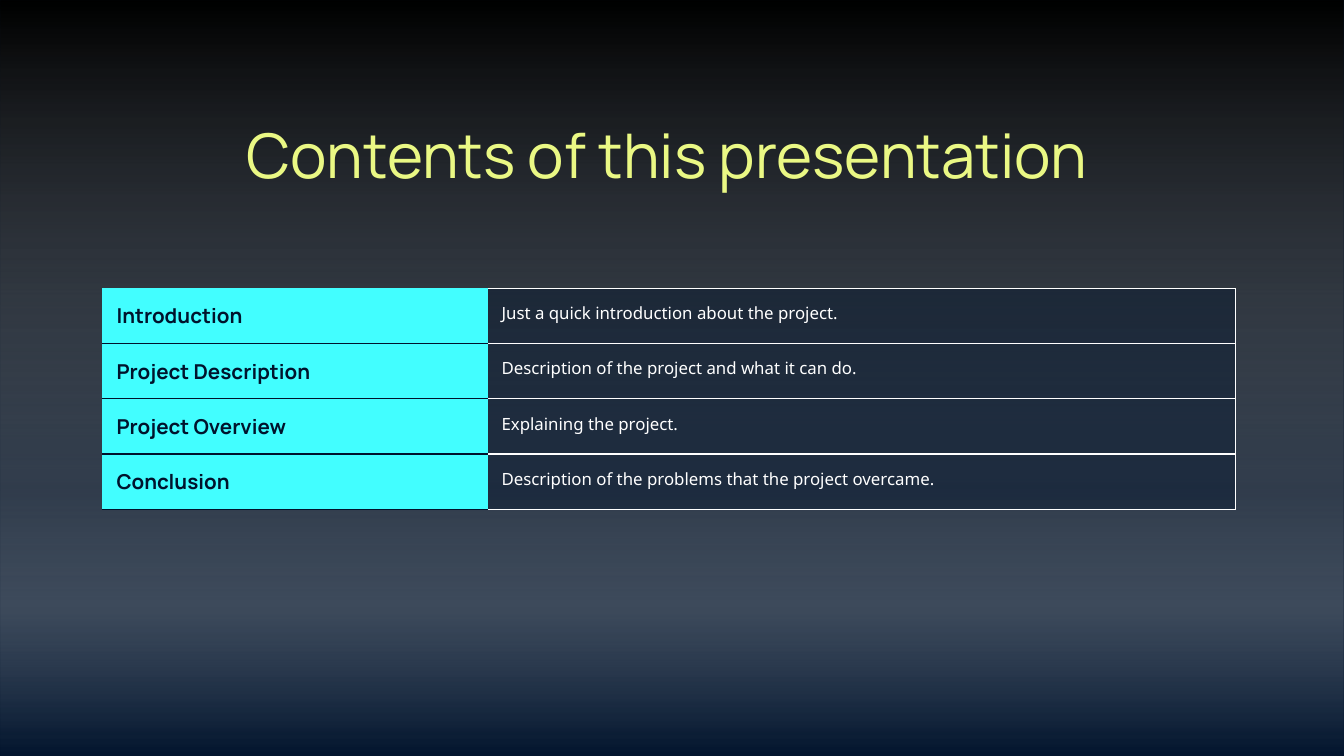
from lxml import etree
from pptx import Presentation
from pptx.dml.color import RGBColor
from pptx.enum.shapes import MSO_SHAPE
from pptx.enum.text import MSO_ANCHOR, MSO_AUTO_SIZE, PP_ALIGN
from pptx.oxml.ns import qn
from pptx.util import Inches, Pt

RECTANGLE = MSO_SHAPE.RECTANGLE
TOP = MSO_ANCHOR.TOP
NO_AUTOFIT = MSO_AUTO_SIZE.NONE
CENTER, LEFT = PP_ALIGN.CENTER, PP_ALIGN.LEFT

COLORS = {"navy": "00132C", "cyan": "42FEFF", "lime": "EAF884", "white": "FFFFFF",
          "black": "000000", "gray": "808080", "silver": "C0C0C0"}
HEADING_FONT, BODY_FONT = "Manrope", "Noto Sans"
NO_TABLE_STYLE = "{2D5ABB26-0587-4C30-8999-92F81FD0307C}"
INSET = Inches(0.1)

# Position, colour and opacity in percent, from top to bottom
SHADE_STOPS = [(0, "black", 100), (65, "gray", 38), (80, "silver", 32), (100, "white", 0)]

CONTENTS = [
    ("Introduction", "Just a quick introduction about the project."),
    ("Project Description", "Description of the project and what it can do."),
    ("Project Overview", "Explaining the project."),
    ("Conclusion", "Description of the problems that the project overcame."),
]


def add_color(parent, name, opacity=100):
    color = etree.SubElement(parent, qn("a:srgbClr"), val=COLORS[name])
    if opacity < 100:
        etree.SubElement(color, qn("a:alpha"), val=str(opacity * 1000))


class SlideBuilder:
    """Holds the style and the current slide; lengths are percent of its size."""

    def __init__(self, presentation):
        self.width = presentation.slide_width
        self.height = presentation.slide_height
        self.slide = presentation.slides.add_slide(presentation.slide_layouts[5])

    def box(self, left, top, width, height):
        return (round(left * self.width / 100), round(top * self.height / 100),
                round(width * self.width / 100), round(height * self.height / 100))

    def background(self, color, stops):
        fill = self.slide.background.fill
        fill.solid()
        fill.fore_color.rgb = RGBColor.from_string(COLORS[color])

        shade = self.slide.shapes.add_shape(RECTANGLE, *self.box(0, 0, 100, 100))
        shade.shadow.inherit = False
        shade.line.fill.background()
        shade.fill.gradient()
        gradient = shade._element.spPr.find(qn("a:gradFill"))
        stop_list = gradient.find(qn("a:gsLst"))
        for stop in list(stop_list):
            stop_list.remove(stop)
        for position, name, opacity in stops:
            stop = etree.SubElement(stop_list, qn("a:gs"), pos=str(position * 1000))
            add_color(stop, name, opacity)
        gradient.find(qn("a:lin")).set("ang", str(90 * 60000))
        # Send the shade behind the title
        self.slide.shapes._spTree.insert(2, shade._element)

    def format_text(self, text_frame, text, font, size, color,
                    bold=False, align=LEFT, space_after=0):
        text_frame.text = text
        paragraph = text_frame.paragraphs[0]
        paragraph.alignment = align
        paragraph.space_after = Pt(space_after)
        style = paragraph.runs[0].font
        style.name, style.size, style.bold = font, Pt(size), bold
        style.color.rgb = RGBColor.from_string(COLORS[color])

    def title(self, text, *percents):
        title = self.slide.shapes.title
        title.left, title.top, title.width, title.height = self.box(*percents)
        frame = title.text_frame
        frame.word_wrap = True
        frame.auto_size = NO_AUTOFIT
        frame.vertical_anchor = TOP
        frame.margin_left = frame.margin_right = INSET
        frame.margin_top = frame.margin_bottom = INSET
        self.format_text(frame, text, HEADING_FONT, 33, "lime", align=CENTER)

    def cell(self, cell, text, fill, opacity, borders, **style):
        cell.margin_left = cell.margin_right = INSET
        cell.margin_top = cell.margin_bottom = INSET
        cell.vertical_anchor = TOP
        self.format_text(cell.text_frame, text, **style)
        properties = cell._tc.get_or_add_tcPr()
        for side, color in borders.items():
            line = etree.SubElement(properties, qn(f"a:ln{side}"), w=str(Pt(0.75)))
            add_color(etree.SubElement(line, qn("a:solidFill")), color)
        add_color(etree.SubElement(properties, qn("a:solidFill")), fill, opacity)

    def contents_table(self, rows, column_percents, *percents):
        frame = self.slide.shapes.add_table(len(rows), 2, *self.box(*percents))
        table = frame.table
        table.first_row = table.horz_banding = False
        table._tbl.tblPr.find(qn("a:tableStyleId")).text = NO_TABLE_STYLE
        for column, percent in zip(table.columns, column_percents):
            column.width = round(percent * self.width / 100)
        for index, (heading, description) in enumerate(rows):
            heading_borders = {"L": "cyan", "T": "navy" if index else "cyan", "B": "navy"}
            self.cell(table.cell(index, 0), heading, "cyan", 100, heading_borders,
                      font=HEADING_FONT, size=11, color="navy", bold=True)
            self.cell(table.cell(index, 1), description, "navy", 40,
                      dict.fromkeys("RTB", "white"),
                      font=BODY_FONT, size=9, color="white", space_after=16)


def main():
    presentation = Presentation()
    presentation.slide_width = Inches(10)
    presentation.slide_height = presentation.slide_width * 9 // 16
    builder = SlideBuilder(presentation)

    # Dark backdrop
    builder.background("navy", SHADE_STOPS)

    # Title
    builder.title("Contents of this presentation", 7.5, 13.7, 84.3, 10.5)

    # Table of contents; its rows grow to fit the headings
    columns = (28.65, 55.6)
    builder.contents_table(CONTENTS, columns, 7.67, 38.15, sum(columns), 27.6)

    presentation.save("out.pptx")


if __name__ == "__main__":
    main()
